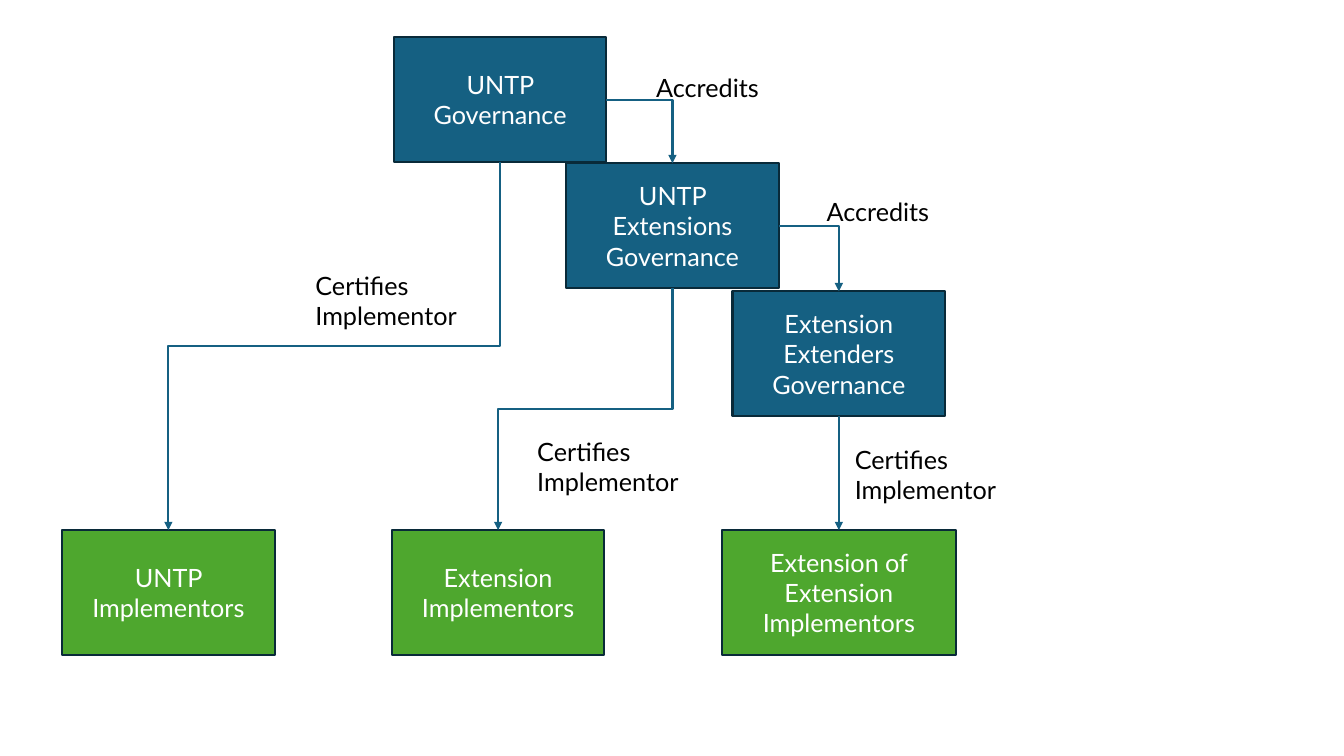
from lxml.etree import SubElement
from pptx import Presentation
from pptx.dml.color import RGBColor
from pptx.enum.shapes import MSO_CONNECTOR, MSO_SHAPE
from pptx.enum.text import MSO_ANCHOR, PP_ALIGN
from pptx.oxml.ns import qn
from pptx.util import Inches, Pt

BLUE, GREEN, EDGE = "156082", "4EA72E", "092A39"
WHITE, BLACK = "FFFFFF", "000000"
BOX_W, WIDE_BOX_W, BOX_H = 2.11, 2.32, 1.24
IMPLEMENTOR_TOP = 5.26
TOP_SITE, BOTTOM_SITE, RIGHT_SITE = 0, 2, 3

# Each step of the staircase: governance (text, centre x, top),
# then its implementors (text, centre x, width).
STEPS = [
    (("UNTP Governance", 4.96, 0.37),
     ("UNTP Implementors", 1.67, BOX_W)),
    (("UNTP Extensions\nGovernance", 6.67, 1.62),
     ("Extension Implementors", 4.94, BOX_W)),
    (("Extension Extenders Governance", 8.32, 2.89),
     ("Extension of Extension Implementors", 8.32, WIDE_BOX_W)),
]
# text, left, top, width, height, wraps
LABELS = [
    ("Accredits", 6.41, 0.67, 1.24, 0.4, False),
    ("Accredits", 8.1, 1.9, 1.24, 0.4, False),
    ("Certifies Implementor", 8.38, 4.36, 2, 0.71, True),
    ("Certifies\nImplementor", 5.23, 4.28, 1.61, 0.71, False),
    ("Certifies\nImplementor", 3.03, 2.63, 1.61, 0.71, False),
]


def rgb(value):
    return RGBColor.from_string(value)


def write(s, text, color, align):
    tf = s.text_frame
    tf.text = text
    for p in tf.paragraphs:
        p.alignment = align
        for r in p.runs:
            r.font.name, r.font.size = "Lato", Pt(18)
            r.font.color.rgb = rgb(color)
    return tf


def add_box(slide, text, centre, top, width, fill):
    s = slide.shapes.add_shape(
        MSO_SHAPE.RECTANGLE, Inches(centre - width / 2), Inches(top),
        Inches(width), Inches(BOX_H))
    s.shadow.inherit = False
    s.fill.solid()
    s.fill.fore_color.rgb = rgb(fill)
    s.line.color.rgb = rgb(EDGE)
    s.line.width = Pt(1.5)
    tf = write(s, text, WHITE, PP_ALIGN.CENTER)
    tf.word_wrap = True
    tf.vertical_anchor = MSO_ANCHOR.MIDDLE
    return s


def add_arrow(slide, source, site, target):
    """Glue an elbow arrow from a site of source to the top of target."""
    c = slide.shapes.add_connector(MSO_CONNECTOR.ELBOW, 0, 0, 0, 0)
    c.begin_connect(source, site)
    c.end_connect(target, TOP_SITE)
    c.line.color.rgb = rgb(BLUE)
    c.line.width = Pt(1.5)
    props = c._element.spPr
    SubElement(props.find(qn("a:ln")), qn("a:tailEnd"), type="triangle")
    SubElement(props, qn("a:effectLst"))
    return c


def add_accredits_arrow(slide, source, target):
    c = add_arrow(slide, source, RIGHT_SITE, target)
    c._element.spPr.find(qn("a:prstGeom")).set("prst", "bentConnector2")


def add_certifies_arrow(slide, source, target):
    """Down, across, down: the elbow lies on its side, turned by 90 degrees."""
    c = add_arrow(slide, source, BOTTOM_SITE, target)
    across, down = c.width, c.height
    mid_x, mid_y = c.left + across // 2, c.top + down // 2
    c.left, c.top = mid_x - down // 2, mid_y - across // 2
    c.width, c.height = down, across
    xfrm = c._element.spPr.find(qn("a:xfrm"))
    xfrm.attrib.pop("flipH", None)
    xfrm.set("rot", str(90 * 60000))


def add_label(slide, text, left, top, width, height, wraps):
    s = slide.shapes.add_textbox(*map(Inches, (left, top, width, height)))
    write(s, text, BLACK, PP_ALIGN.LEFT).word_wrap = wraps


def main():
    prs = Presentation()
    prs.slide_width, prs.slide_height = Inches(13.33), Inches(7.5)
    slide = prs.slides.add_slide(prs.slide_layouts[6])

    governors, implementors = [], []
    for (name, centre, top), (group, group_centre, width) in STEPS:
        governors.append(add_box(slide, name, centre, top, BOX_W, BLUE))
        implementors.append(add_box(
            slide, group, group_centre, IMPLEMENTOR_TOP, width, GREEN))

    for upper, lower in zip(governors, governors[1:]):
        add_accredits_arrow(slide, upper, lower)
    for governor, group in zip(governors, implementors):
        add_certifies_arrow(slide, governor, group)
    for label in LABELS:
        add_label(slide, *label)

    prs.save("out.pptx")


if __name__ == "__main__":
    main()
